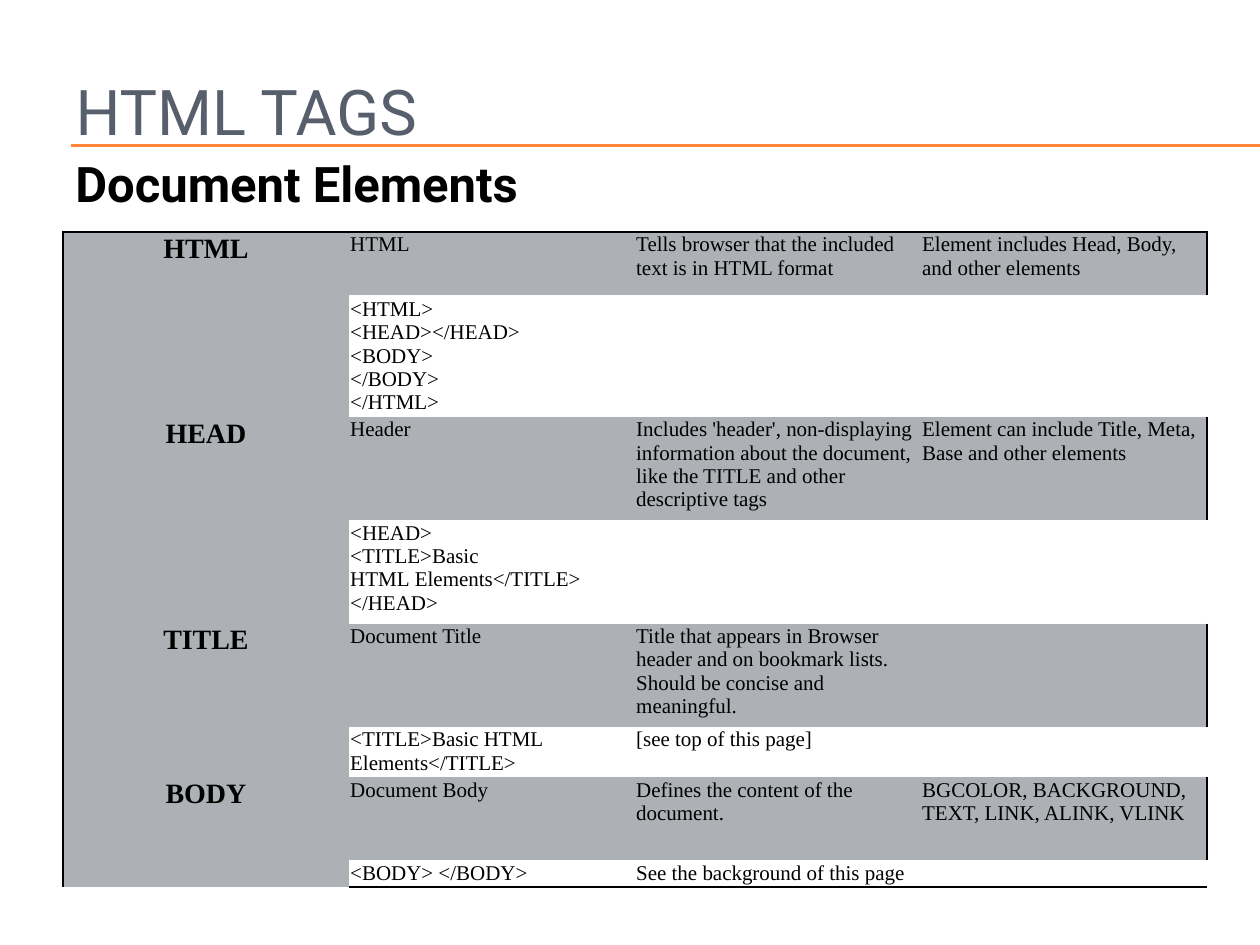
from lxml import etree
from pptx import Presentation
from pptx.dml.color import RGBColor
from pptx.enum import shapes, text
from pptx.oxml.ns import qn
from pptx.util import Inches, Pt

ORANGE = RGBColor(0xFE, 0x86, 0x37)
SLATE = RGBColor(0x57, 0x5F, 0x6D)
GRAY = RGBColor(0xAD, 0xB0, 0xB5)
WHITE = RGBColor(0xFF, 0xFF, 0xFF)
BLACK = RGBColor(0, 0, 0)
HEAD_FONT, BODY_FONT = "Roboto", "Times New Roman"
NO_STYLE = "{2D5ABB26-0587-4C30-8999-92F81FD0307C}"

ROW_HEIGHTS = [0.5, 0.97, 0.82, 0.82, 0.82, 0.4, 0.66, 0.21]
# tag, name, description, notes, example, example remark
TAGS = [
    ("HTML", "HTML", "Tells browser that the included text is in HTML format",
     "Element includes Head, Body, and other elements",
     "<HTML>\n<HEAD></HEAD>\n<BODY>\n</BODY>\n</HTML>", ""),
    ("HEAD", "Header",
     "Includes 'header', non-displaying information about the document, "
     "like the TITLE and other descriptive tags",
     "Element can include Title, Meta, Base and other elements",
     "<HEAD>\n<TITLE>Basic HTML\u00a0Elements</TITLE>\n</HEAD>", ""),
    ("TITLE", "Document Title",
     "Title that appears in Browser header and on bookmark lists. "
     "Should be concise and meaningful.", "",
     "<TITLE>Basic HTML Elements</TITLE>", "[see top of this page]"),
    ("BODY", "Document Body", "Defines the content of the document.",
     "BGCOLOR, BACKGROUND, TEXT, LINK, ALINK, VLINK",
     "<BODY> </BODY>", "See the background of this page"),
]


def write(tf, content, font=BODY_FONT, size=12, color=BLACK, bold=False,
          align=text.PP_ALIGN.LEFT):
    """Write one paragraph, with line breaks at newlines."""
    p = tf.paragraphs[0]
    p.alignment = align
    points = str(size * 100)
    for i, line in enumerate(content.split("\n") if content else []):
        if i:
            p.add_line_break()
            etree.SubElement(p._p[-1], qn("a:rPr"), sz=points)
        r = p.add_run()
        r.text = line
        r.font.name, r.font.size, r.font.bold = font, Pt(size), bold
        r.font.color.rgb = color
    etree.SubElement(p._p, qn("a:endParaRPr"), sz=points)


def set_borders(cell, sides):
    """Draw a black one-point border on the given sides (L, R, T, B)."""
    tc_pr = cell._tc.get_or_add_tcPr()
    for i, side in enumerate(sides):
        ln = etree.Element(qn("a:ln" + side), w=str(Pt(1)))
        fill = etree.SubElement(ln, qn("a:solidFill"))
        etree.SubElement(fill, qn("a:srgbClr"), val=str(BLACK))
        tc_pr.insert(i, ln)


class Deck:
    """Holds the presentation and its current slide."""

    def __init__(self):
        """Start a 4:3 deck with one title-only slide."""
        self.prs = Presentation()
        self.prs.slide_width, self.prs.slide_height = Inches(10), Inches(7.5)
        self.slide = self.prs.slides.add_slide(self.prs.slide_layouts[5])

    def rule(self, x1, x2, y):
        """Draw a thin horizontal rule."""
        line = self.slide.shapes.add_connector(
            shapes.MSO_CONNECTOR.STRAIGHT,
            Inches(x1), Inches(y), Inches(x2), Inches(y))
        line.line.color.rgb, line.line.width = ORANGE, Pt(0.75)
        etree.SubElement(line._element.spPr, qn("a:effectLst"))

    def title(self, content, x, y, w, h):
        """Place and format the title."""
        sp = self.slide.shapes.title
        sp.left, sp.top, sp.width, sp.height = map(Inches, (x, y, w, h))
        sp.text_frame.vertical_anchor = text.MSO_ANCHOR.MIDDLE
        write(sp.text_frame, content, font=HEAD_FONT, size=36, color=SLATE)

    def subtitle(self, content, x, y, w, h):
        """Add the bold heading under the rule."""
        tf = self.slide.shapes.add_textbox(
            *map(Inches, (x, y, w, h))).text_frame
        tf.word_wrap = True
        write(tf, content, font=HEAD_FONT, size=28, bold=True)

    def tag_table(self, tags, x, y, w):
        """Add the table: each tag has a gray row and a white example row."""
        last_row, last_col = len(ROW_HEIGHTS) - 1, 3
        table = self.slide.shapes.add_table(
            last_row + 1, last_col + 1, Inches(x), Inches(y), Inches(w),
            Inches(sum(ROW_HEIGHTS))).table
        table.first_row = table.horz_banding = False
        table._tbl.tblPr.find(qn("a:tableStyleId")).text = NO_STYLE
        for row, height in zip(table.rows, ROW_HEIGHTS):
            row.height = Inches(height)
        rows = []
        for tag, name, description, notes, example, remark in tags:
            rows += [(tag, name, description, notes),
                     ("", example, remark, "")]
        for i, row in enumerate(rows):
            for j, content in enumerate(row):
                cell = table.cell(i, j)
                cell.margin_left = cell.margin_right = Inches(0.01)
                cell.margin_top = cell.margin_bottom = Inches(0.01)
                cell.fill.solid()
                cell.fill.fore_color.rgb = WHITE if i % 2 and j else GRAY
                edges = {"L": j == 0, "R": j == last_col,
                         "T": i == 0, "B": i == last_row}
                set_borders(cell, [s for s, on in edges.items() if on])
                style = {} if j else dict(size=16, bold=True,
                                          align=text.PP_ALIGN.CENTER)
                write(cell.text_frame, content, **style)
        table.cell(1, 1).vertical_anchor = text.MSO_ANCHOR.MIDDLE
        for i in range(0, len(rows), 2):
            table.cell(i, 0).merge(table.cell(i + 1, 0))
            table.cell(i + 1, 2).merge(table.cell(i + 1, 3))


deck = Deck()
for rule_y in (1.15, 1.16):
    deck.rule(0.56, 10, rule_y)
deck.title("HTML TAGS", 0.5, 0.25, 9, 1.25)
deck.tag_table(TAGS, 0.5, 1.84, 9.08)
deck.subtitle("Document Elements\u00a0", 0.5, 1.17, 6.08, 1.04)
deck.prs.save("out.pptx")
